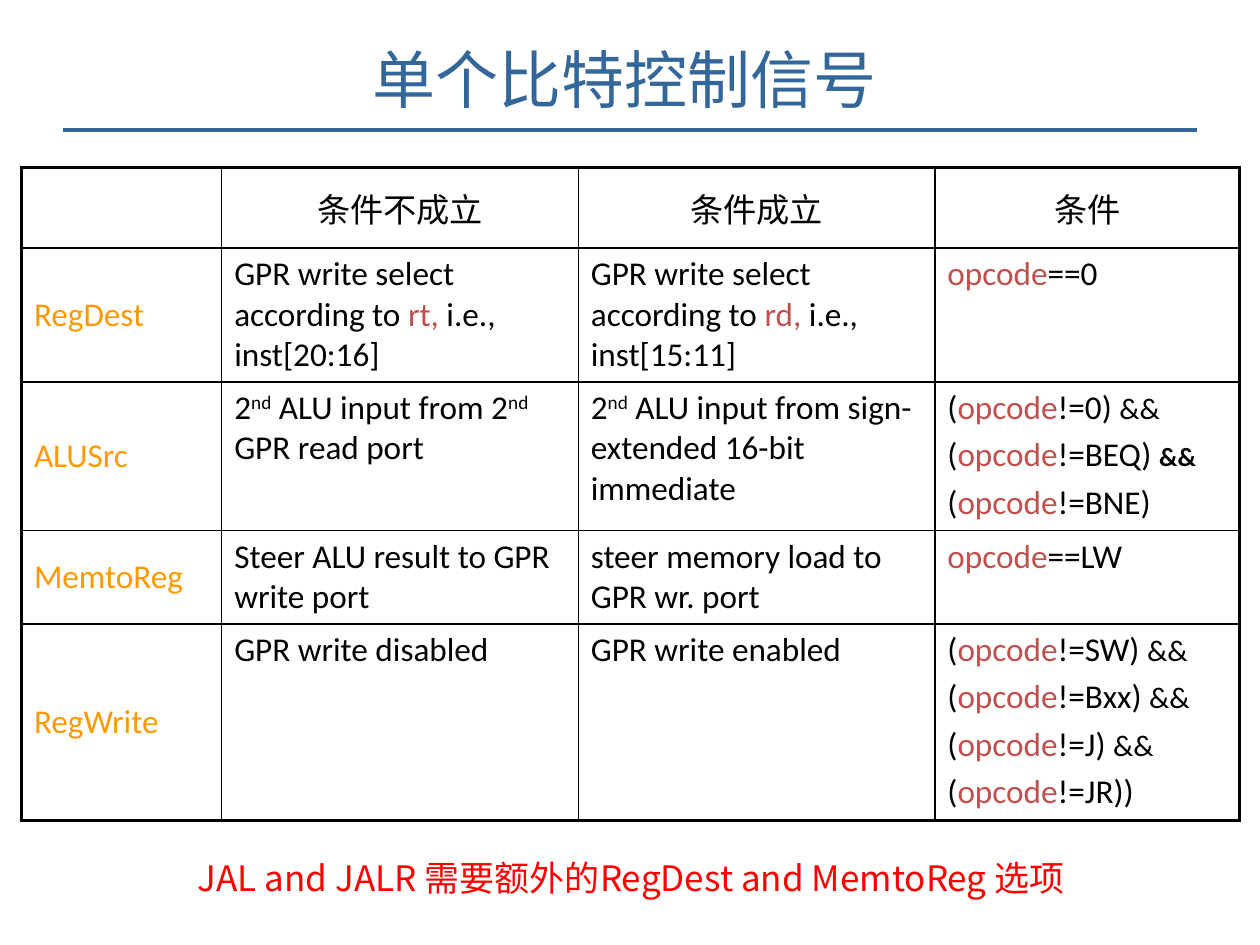
"""Build a slide with a table of single-bit control signals."""
from lxml import etree
from pptx import Presentation
from pptx.dml.color import RGBColor
from pptx.enum.shapes import MSO_CONNECTOR
from pptx.enum.text import MSO_ANCHOR, PP_ALIGN
from pptx.oxml.ns import qn
from pptx.util import Inches, Pt

LEFT, CENTER, RIGHT = PP_ALIGN.LEFT, PP_ALIGN.CENTER, PP_ALIGN.RIGHT
TOP, MIDDLE = MSO_ANCHOR.TOP, MSO_ANCHOR.MIDDLE
STRAIGHT = MSO_CONNECTOR.STRAIGHT
LATIN, CJK = "Calibri", "Noto Sans CJK SC"
BLACK, BLUE, RED, ORANGE, BRICK = "000000", "336699", "FF0000", "FF9900", "C0504D"
THIN, THICK, SIZE = 1, 2.25, 19

HOT, SUP = {"color": BRICK}, {"raised": True}
AND, BOLD_AND = {"size": 17}, {"size": 15, "bold": True}
OPCODE, ND = ("opcode", HOT), ("nd", SUP)


def clause(test, joiner="", style=AND):
    """Return the runs of one bracketed opcode test."""
    runs = ["(", OPCODE, test]
    return runs + [(joiner, style)] if joiner else runs


TITLE = "单个比特控制信号"
NOTE = "JAL and JALR 需要额外的RegDest and MemtoReg 选项"
HEADERS = ["", "条件不成立", "条件成立", "条件"]
SIGNALS = [
    ("RegDest",
     [["GPR write select according to ", ("rt, ", HOT), "i.e., inst[20:16]"]],
     [["GPR write select according to ", ("rd, ", HOT), "i.e., inst[15:11]"]],
     [[OPCODE, "==0"]]),
    ("ALUSrc",
     [["2", ND, " ALU input from 2", ND, " GPR read port"]],
     [["2", ND, " ALU input from sign-extended 16-bit immediate"]],
     [clause("!=0) ", "&&"), clause("!=BEQ) ", "&&", BOLD_AND), clause("!=BNE)")]),
    ("MemtoReg",
     [["Steer ALU result to GPR write port"]],
     [["steer memory load to GPR wr. port"]],
     [[OPCODE, "==LW"]]),
    ("RegWrite",
     [["GPR write disabled"]],
     [["GPR write enabled"]],
     [clause("!=SW) ", "&&"), clause("!=Bxx) ", "&&"),
      clause("!=J) ", "&&"), clause("!=JR))")]),
]
COLS = [1.59, 2.83, 2.83, 2.42]
ROWS = [0.64, 1.05, 1.18, 0.73, 1.56]


def rgb(value):
    """Turn a hex string into a colour."""
    return RGBColor.from_string(value)


def add_run(p, text, size=SIZE, color=BLACK, name=LATIN, bold=False, raised=False):
    """Add one formatted run to a paragraph."""
    r = p.add_run()
    r.text = text
    font = r.font
    font.size, font.bold, font.name = Pt(size), bold, name
    font.color.rgb = rgb(color)
    rpr = r._r.get_or_add_rPr()
    etree.SubElement(rpr, qn("a:ea"), typeface=CJK)
    if raised:
        rpr.set("baseline", "30000")


def fill_text(tf, paragraphs, align=LEFT, **style):
    """Write paragraphs of runs into a text frame."""
    for i, runs in enumerate(paragraphs):
        p = tf.add_paragraph() if i else tf.paragraphs[0]
        p.alignment = align
        if i:
            p.space_before = Pt(4)
        for run in runs:
            text, extra = (run, {}) if isinstance(run, str) else run
            add_run(p, text, **{**style, **extra})


def set_borders(cell, widths):
    """Draw black cell borders from widths keyed by side."""
    tcpr = cell._tc.get_or_add_tcPr()
    for side, width in widths.items():
        ln = etree.SubElement(tcpr, qn(f"a:ln{side}"), w=str(Pt(width)))
        fill = etree.SubElement(ln, qn("a:solidFill"))
        etree.SubElement(fill, qn("a:srgbClr"), val=BLACK)


def add_signal_table(s):
    """Add the table of signals and their conditions."""
    table = s.shapes.add_table(
        len(ROWS), len(COLS), Inches(0.17), Inches(1.33),
        Inches(sum(COLS)), Inches(sum(ROWS))).table
    table.first_row = table.horz_banding = False
    for col, width in zip(table.columns, COLS):
        col.width = Inches(width)
    for row, height in zip(table.rows, ROWS):
        row.height = Inches(height)

    content = [[[[text]] if text else [] for text in HEADERS]]
    content += [[[[name]], *cells] for name, *cells in SIGNALS]
    for i, row in enumerate(content):
        for j, paragraphs in enumerate(row):
            cell = table.cell(i, j)
            set_borders(cell, {
                "L": THIN if j else THICK,
                "R": THICK if j == len(COLS) - 1 else THIN,
                "T": THIN if i else THICK,
                "B": THICK if i == len(ROWS) - 1 else THIN})
            cell.fill.background()
            cell.vertical_anchor = TOP if i and j else MIDDLE
            fill_text(cell.text_frame, paragraphs, LEFT if i else CENTER,
                      color=BLACK if j else ORANGE)


def main():
    """Assemble and save the slide."""
    prs = Presentation()
    prs.slide_width, prs.slide_height = Inches(10), Inches(7.5)
    s = prs.slides.add_slide(prs.slide_layouts[5])

    line = s.shapes.add_connector(
        STRAIGHT, Inches(0.5), Inches(1.03), Inches(9.5), Inches(1.03))
    line.line.color.rgb = rgb(BLUE)
    line.line.width = Pt(2)
    etree.SubElement(line._element.spPr, qn("a:effectLst"))

    title = s.shapes.title
    title.left, title.top = Inches(0.42), Inches(0.08)
    title.width, title.height = Inches(9.08), Inches(1.08)
    title.text_frame.vertical_anchor = MIDDLE
    fill_text(title.text_frame, [[TITLE]], CENTER, size=36, color=BLUE, name=CJK)

    add_signal_table(s)

    note = s.shapes.add_textbox(Inches(1.15), Inches(6.75), Inches(7.4), Inches(0.44))
    note.text_frame.word_wrap = False
    fill_text(note.text_frame, [[NOTE]], RIGHT, size=20, color=RED, name=CJK)

    prs.save("out.pptx")


if __name__ == "__main__":
    main()
